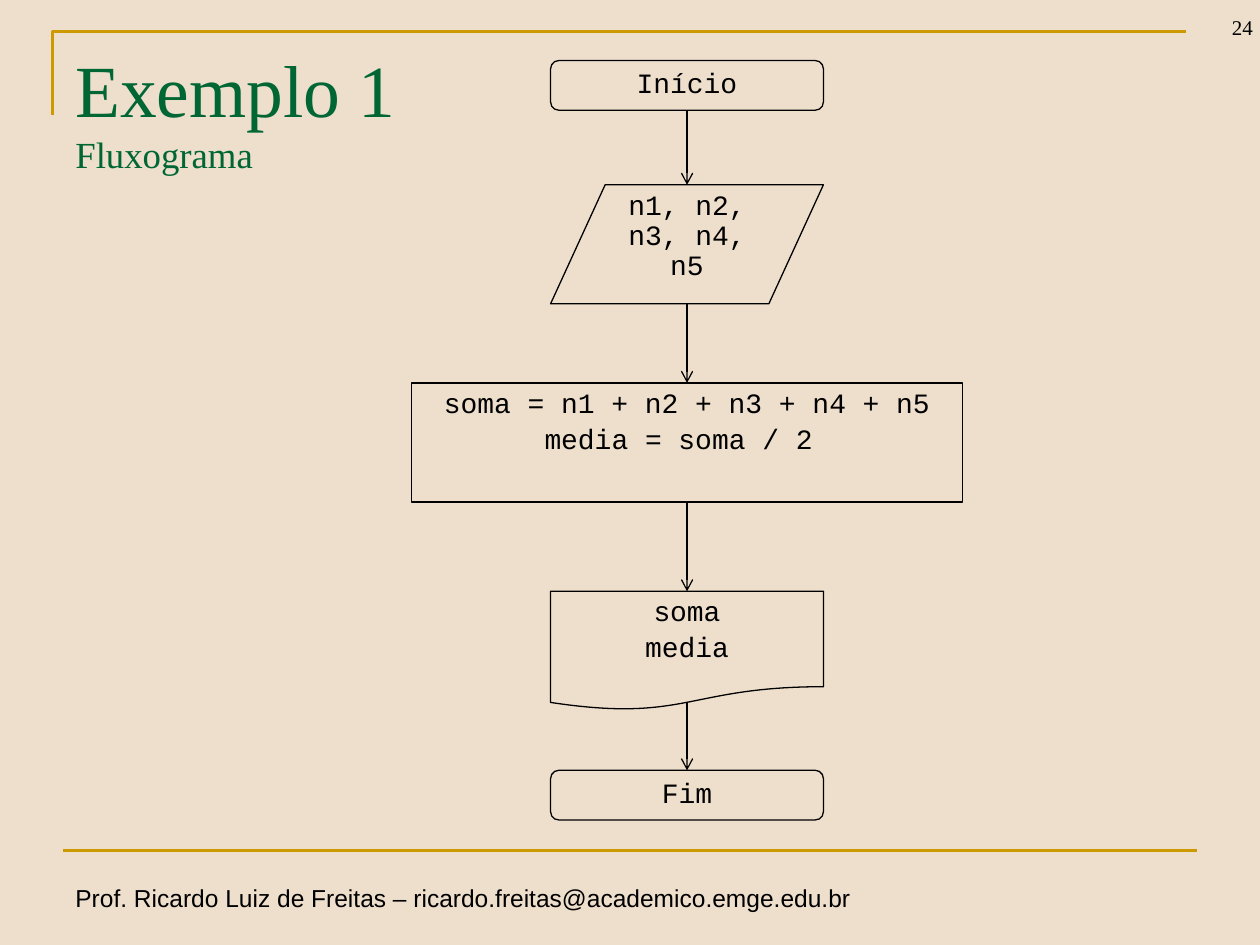
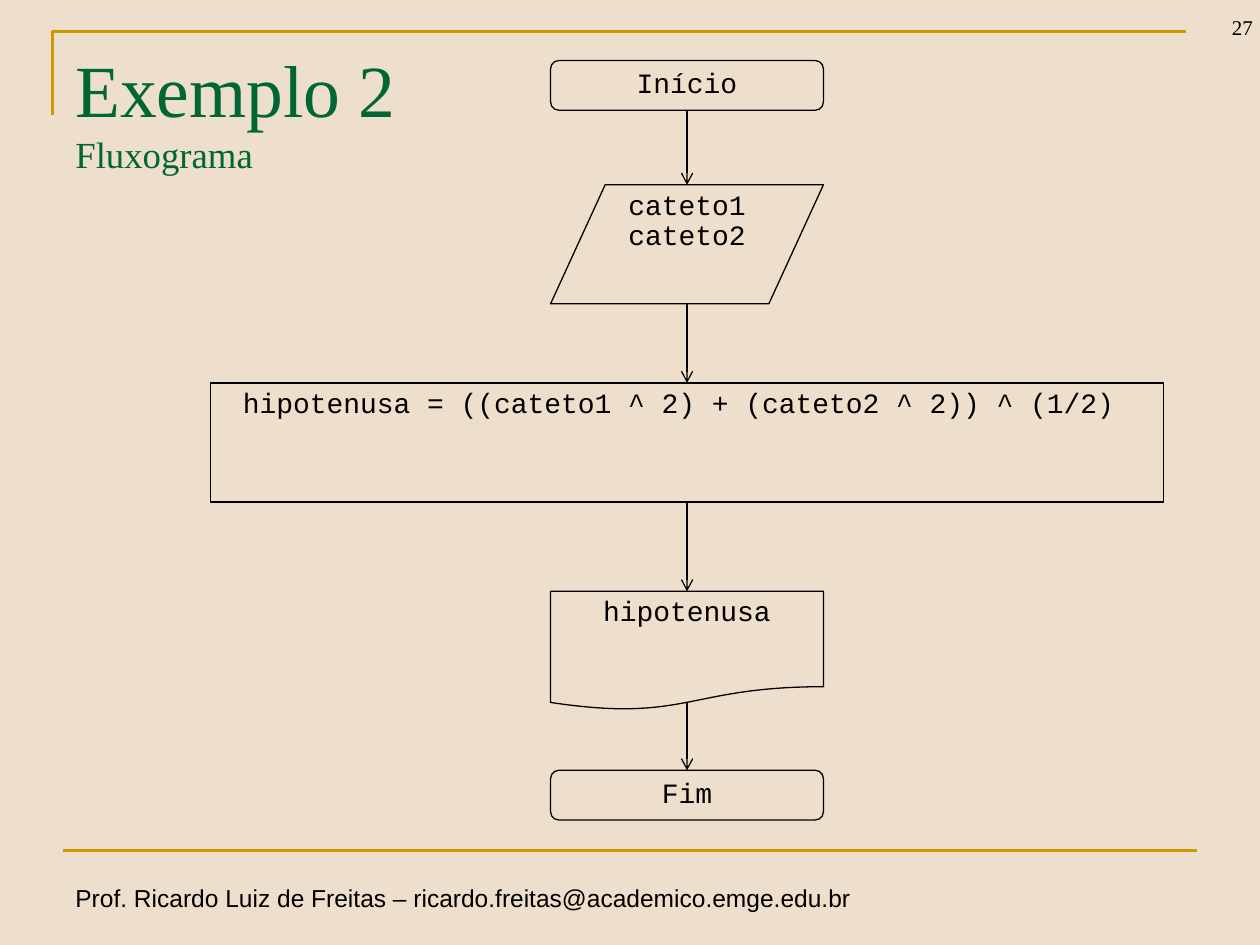
"""Builds two flowchart slides that share one frame, title style and footer."""
from itertools import pairwise

from pptx import Presentation
from pptx.dml.color import RGBColor
from pptx.enum.shapes import MSO_CONNECTOR as Link, MSO_SHAPE as Shape
from pptx.enum.text import MSO_ANCHOR as Anchor, PP_ALIGN as Align
from pptx.oxml.ns import qn
from pptx.util import Pt
from lxml.etree import SubElement

EXAMPLES = [
    {
        "number": "24",
        "title": "Exemplo 1 ",
        "steps": {
            "start": ["Início"],
            "input": ["n1, n2, n3, n4, n5"],
            "process": ["soma = n1 + n2 + n3 + n4 + n5", "media = soma / 2 "],
            "output": ["soma", "media"],
            "end": ["Fim"],
        },
        "process_width": 314.6,
    },
    {
        "number": "27",
        "title": "Exemplo 2 ",
        "steps": {
            "start": ["Início"],
            "input": ["cateto1 cateto2"],
            "process": ["hipotenusa = ((cateto1 ^ 2) + (cateto2 ^ 2)) ^ (1/2) "],
            "output": ["hipotenusa"],
            "end": ["Fim"],
        },
        "process_width": 544.3,
    },
]
SUBTITLE = "Fluxograma"
FOOTER = "Prof. Ricardo Luiz de Freitas – ricardo.freitas@academico.emge.edu.br"

COLORS = {"sand": "EEDFCC", "gold": "CC9900", "green": "006633", "ink": "000000"}
FONTS = {
    "title": ("Times New Roman", 42, "green"),
    "subtitle": ("Times New Roman", 21, "green"),
    "number": ("Times New Roman", 12, "ink"),
    "footer": ("Arial", 14, "ink"),
    "step": ("Courier New", 16, "ink"),
}
STEP_FORMAT = {"alignment": Align.CENTER, "line_spacing": 0.9, "space_before": Pt(3.2)}

AXIS = 392.6
STEP_WIDTH = 155.9
STEP_FORMS = {
    "start": (Shape.FLOWCHART_ALTERNATE_PROCESS, 34.6, 28.4),
    "input": (Shape.FLOWCHART_DATA, 105.6, 68),
    "process": (Shape.FLOWCHART_PROCESS, 218.8, 68),
    "output": (Shape.FLOWCHART_DOCUMENT, 337.9, 68),
    "end": (Shape.FLOWCHART_ALTERNATE_PROCESS, 440.2, 28.4),
}
DOCUMENT_EDGE = 0.94
TOP, BOTTOM = 0, 2


def color(name):
    return RGBColor.from_string(COLORS[name])


def pts(*values):
    return [Pt(value) for value in values]


def apply(target, settings):
    for key, value in settings.items():
        setattr(target, key, value)


def write(paragraph, text, style):
    face, size, ink = FONTS[style]
    run = paragraph.add_run()
    run.text = text
    apply(run.font, {"name": face, "size": Pt(size)})
    run.font.color.rgb = color(ink)


def outline(shape, ink, width):
    shape.line.color.rgb = color(ink)
    shape.line.width = Pt(width)


def add_line(slide, ink, width, *ends):
    line = slide.shapes.add_connector(Link.STRAIGHT, *pts(*ends))
    outline(line, ink, width)
    SubElement(line._element.spPr, qn("a:effectLst"))
    return line


def add_text(slide, box, text, style, **frame_format):
    frame = slide.shapes.add_textbox(*pts(*box)).text_frame
    apply(frame, {"word_wrap": True, **frame_format})
    write(frame.paragraphs[0], text, style)
    return frame.paragraphs[0]


def add_frame(slide, example):
    builder = slide.shapes.build_freeform(*pts(30, 66))
    builder.add_line_segments([pts(30, 18), pts(678, 18)], close=False)
    corner = builder.convert_to_shape()
    corner.fill.background()
    corner.shadow.inherit = False
    outline(corner, "gold", 1.5)
    add_line(slide, "gold", 1.5, 36, 486, 684, 486)
    add_text(slide, (36, 501, 459.4, 24.5), FOOTER, "footer", word_wrap=False)
    title = add_text(slide, (36, 21.6, 648, 90), example["title"], "title")
    title.add_line_break()
    write(title, SUBTITLE, "subtitle")
    number = add_text(slide, (669, -10, 54, 36), example["number"], "number",
                      vertical_anchor=Anchor.BOTTOM)
    number.alignment = Align.RIGHT


def add_step(slide, name, lines, width):
    form, top, height = STEP_FORMS[name]
    step = slide.shapes.add_shape(form, *pts(AXIS - width / 2, top, width, height))
    step.fill.background()
    step.shadow.inherit = False
    outline(step, "ink", 0.75)
    frame = step.text_frame
    apply(frame, {"word_wrap": True, "vertical_anchor": Anchor.TOP})
    for index, text in enumerate(lines):
        paragraph = frame.add_paragraph() if index else frame.paragraphs[0]
        apply(paragraph, STEP_FORMAT)
        write(paragraph, text, "step")
    return step


def add_arrow(slide, steps, source, target):
    _, top, height = STEP_FORMS[source]
    edge = DOCUMENT_EDGE if source == "output" else 1
    arrow = add_line(slide, "ink", 0.75,
                     AXIS, top + height * edge, AXIS, STEP_FORMS[target][1])
    SubElement(arrow.line._get_or_add_ln(), qn("a:tailEnd"), type="arrow")
    if source in ("start", "process"):
        arrow.begin_connect(steps[source], BOTTOM)
    if target != "input":
        arrow.end_connect(steps[target], TOP)


def main():
    deck = Presentation()
    deck.slide_width, deck.slide_height = pts(720, 540)
    backdrop = deck.slide_master.background.fill
    backdrop.solid()
    backdrop.fore_color.rgb = color("sand")
    for example in EXAMPLES:
        slide = deck.slides.add_slide(deck.slide_layouts[6])
        add_frame(slide, example)
        widths = {"process": example["process_width"]}
        steps = {name: add_step(slide, name, lines, widths.get(name, STEP_WIDTH))
                 for name, lines in example["steps"].items()}
        for source, target in pairwise(steps):
            add_arrow(slide, steps, source, target)
    deck.save("out.pptx")


if __name__ == "__main__":
    main()
